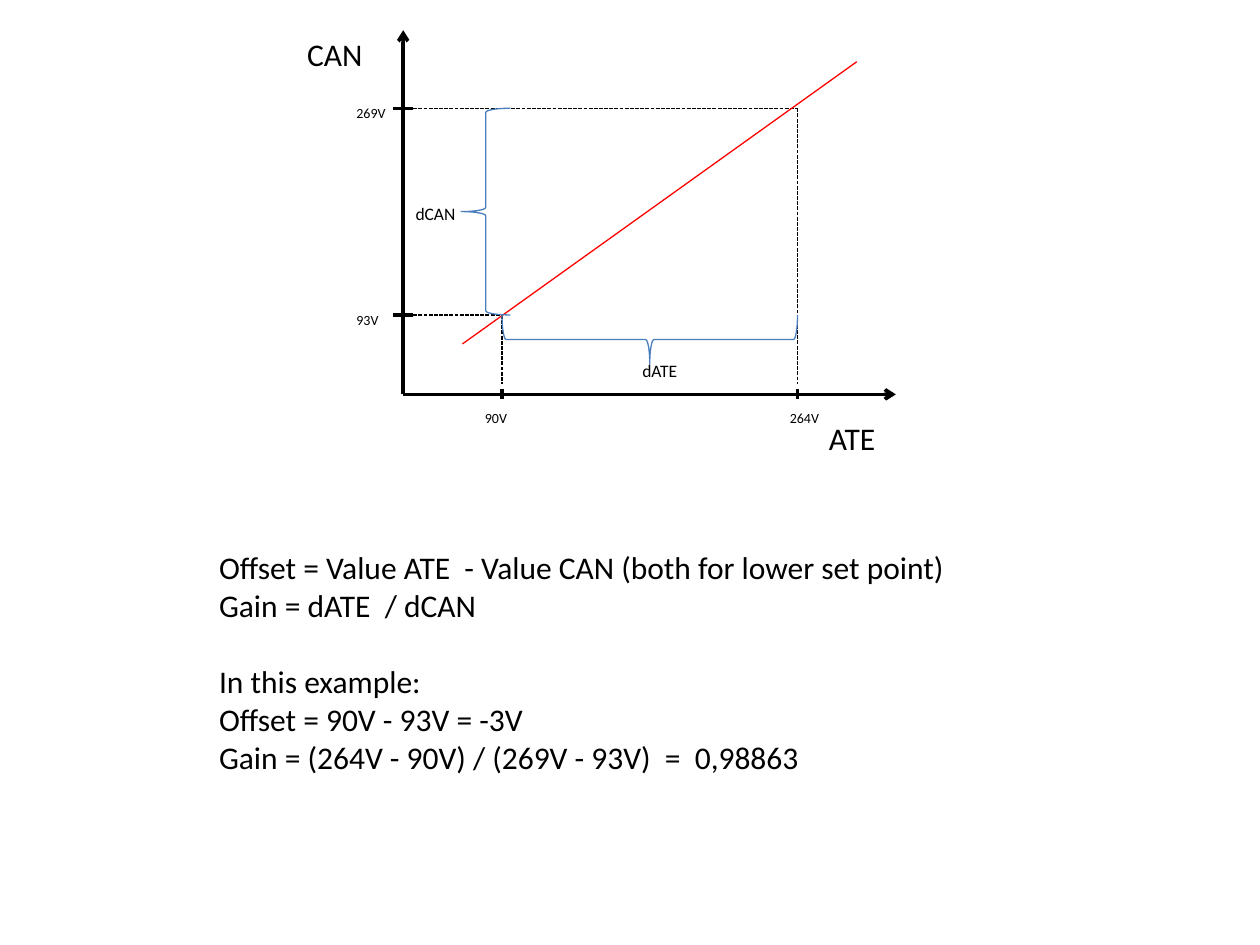
import pptx
import pptx.util
import pptx.dml.color
import pptx.enum.shapes
import pptx.enum.dml
import pptx.enum.text
import pptx.oxml
import pptx.oxml.ns
from pptx.util import Inches

# Content: set points with their places on the axes
ATE_POINTS = [("90V", 3.985), ("264V", 6.33)]
CAN_POINTS = [("93V", 2.5), ("269V", 0.86)]
FORMULAS = [
    # text, space before in points
    ("Offset = Value ATE  - Value CAN (both for lower set point)", 0),
    ("Gain = dATE  / dCAN", 0),
    ("In this example:", 22),
    ("Offset = 90V - 93V = -3V", 0),
    ("Gain = (264V - 90V) / (269V - 93V)  =  0,98863", 0),
]
ORIGIN_X, ORIGIN_Y = 3.2, 3.13
TICK = 0.08  # reach of a CAN tick to each side of its axis
BRACE = 0.39
BLACK, RED, BLUE = "000000", "FF0000", "4B7EBC"
DASH = pptx.enum.dml.MSO_LINE.SQUARE_DOT
LABEL_HEIGHT = {8: 0.24, 10: 0.27, 18: 0.4}

prs = pptx.Presentation()
prs.slide_width, prs.slide_height = Inches(10), Inches(7.5)
s = prs.slides.add_slide(prs.slide_layouts[6])


def color(value):
    return pptx.dml.color.RGBColor.from_string(value)


def add_line(x1, y1, x2, y2, rgb=BLACK, width=0.75, dash=None, arrow=False):
    sp = s.shapes.add_connector(
        pptx.enum.shapes.MSO_CONNECTOR.STRAIGHT,
        Inches(x1), Inches(y1), Inches(x2), Inches(y2))
    sp.line.color.rgb = color(rgb)
    for name, value in {"width": pptx.util.Pt(width), "dash_style": dash}.items():
        setattr(sp.line, name, value)
    if arrow:
        end = pptx.oxml.ns.qn("a:tailEnd")
        sp.line._get_or_add_ln().append(
            sp._element.makeelement(end, {"type": "arrow"}))
    sp._element.spPr.append(
        sp._element.makeelement(pptx.oxml.ns.qn("a:effectLst"), {}))


def add_text(x, y, lines, size, width=1.17, height=None):
    height = height or LABEL_HEIGHT[size]
    tf = s.shapes.add_textbox(
        Inches(x), Inches(y), Inches(width), Inches(height)).text_frame
    tf.word_wrap = True
    tf.auto_size = pptx.enum.text.MSO_AUTO_SIZE.SHAPE_TO_FIT_TEXT
    for i, (text, before) in enumerate(lines):
        p = tf.add_paragraph() if i else tf.paragraphs[0]
        p.space_before = pptx.util.Pt(before)
        r = p.add_run()
        r.text = text
        r.font.color.rgb = color(BLACK)
        for name, value in {"name": "Calibri", "size": pptx.util.Pt(size)}.items():
            setattr(r.font, name, value)


def add_brace(center_x, center_y, length, rotation=0):
    sp = s.shapes.add_shape(
        pptx.enum.shapes.MSO_SHAPE.LEFT_BRACE,
        Inches(center_x - BRACE / 2), Inches(center_y - length / 2),
        Inches(BRACE), Inches(length))
    sp.rotation = rotation
    sp.shadow.inherit = False
    sp.fill.background()
    sp.line.color.rgb = color(BLUE)
    sp.line.width = pptx.util.Pt(0.75)


# Axes and their names
add_line(ORIGIN_X, ORIGIN_Y, 7.11, ORIGIN_Y, width=2, arrow=True)
add_line(ORIGIN_X, ORIGIN_Y, ORIGIN_X, 0.24, width=2, arrow=True)
add_text(6.48, 3.28, [("ATE", 0)], 18)
add_text(2.34, 0.23, [("CAN", 0)], 18)

# Ticks, values and dashed guides of each set point
label_x = [3.75, 6.17]
for (ate, x), (can, y), left in zip(ATE_POINTS, CAN_POINTS, label_x):
    add_line(x, ORIGIN_Y - TICK / 2, x, ORIGIN_Y + TICK / 2, width=2)
    add_line(ORIGIN_X + TICK, y, ORIGIN_X - TICK, y, width=2)
    add_text(left, 3.2, [(ate, 0)], 8)
    add_text(2.73, y - TICK, [(can, 0)], 8)
    add_line(ORIGIN_X + TICK, y, x, y, dash=DASH)
    add_line(x, y, x, ORIGIN_Y - TICK, dash=DASH)

# Characteristic line
add_line(3.67, 2.73, 6.8, 0.49, rgb=RED)

# Braces over the two spans
(x_low, x_high), (y_low, y_high) = (
    [place for _, place in points] for points in (ATE_POINTS, CAN_POINTS))
add_brace((x_low + x_high) / 2, y_low + BRACE / 2, x_high - x_low, rotation=270)
add_brace(3.855, (y_low + y_high) / 2, y_low - y_high)
add_text(5, 2.81, [("dATE", 0)], 10)
add_text(3.2, 1.56, [("dCAN", 0)], 10)

# Formulas
add_text(1.64, 4.3, FORMULAS, 18, width=6.88, height=2.22)

prs.save("out.pptx")
